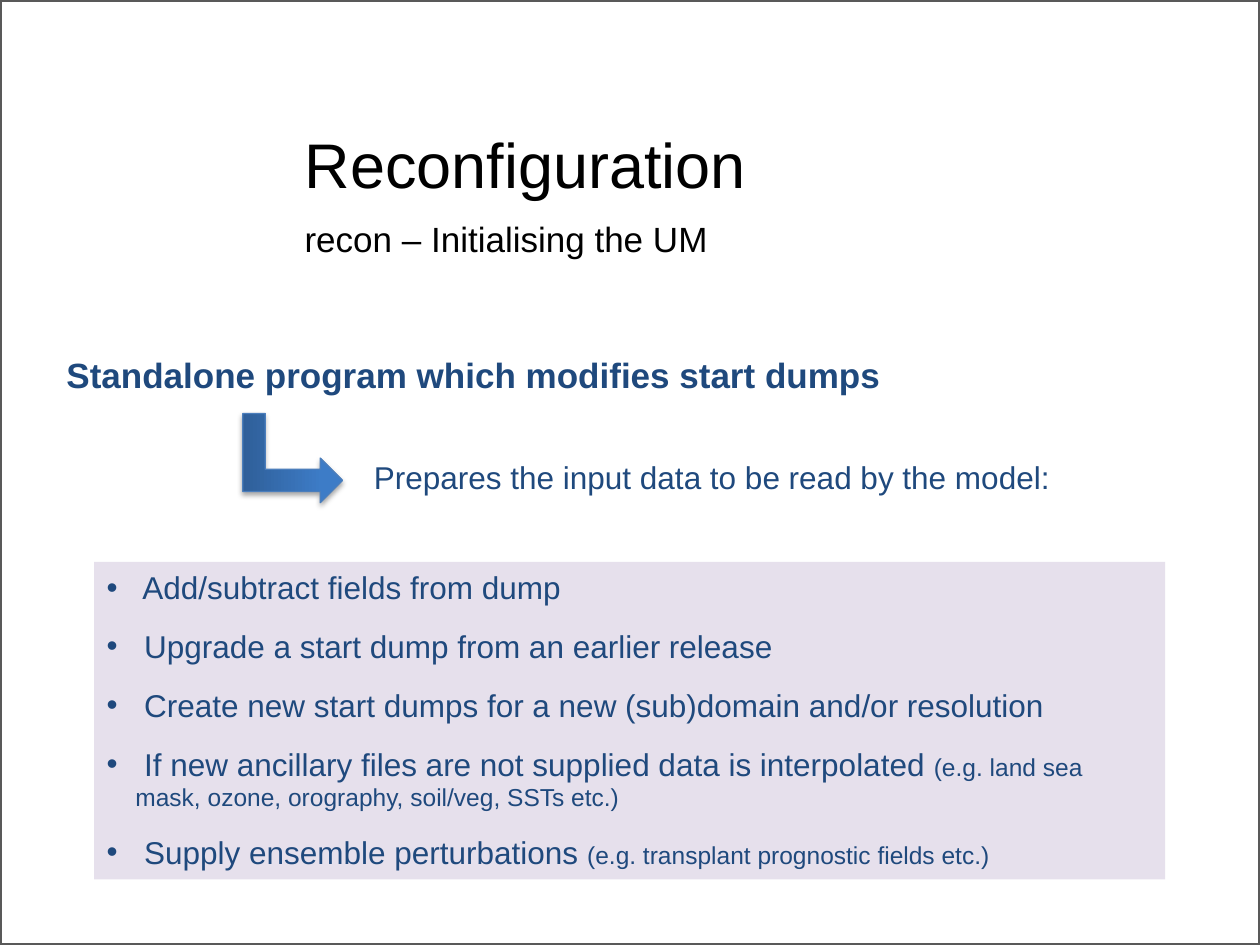
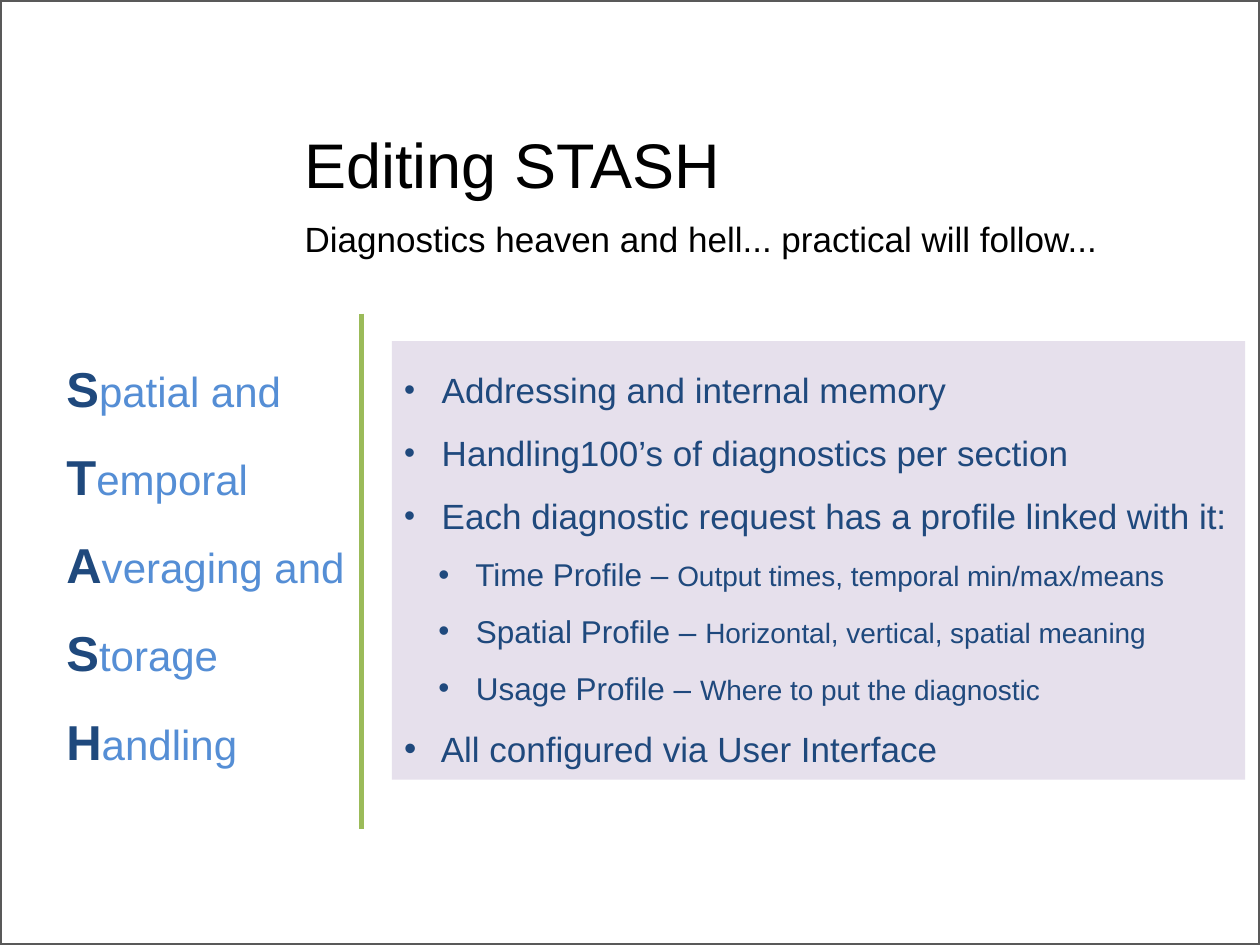
from dataclasses import dataclass

from lxml import etree
from pptx import Presentation
from pptx.dml.color import RGBColor
from pptx.enum.shapes import MSO_CONNECTOR, MSO_SHAPE
from pptx.enum.text import MSO_ANCHOR, PP_ALIGN
from pptx.oxml.ns import qn
from pptx.util import Cm, Pt

RECT, BENT_ARROW = MSO_SHAPE.RECTANGLE, MSO_SHAPE.BENT_UP_ARROW
STRAIGHT = MSO_CONNECTOR.STRAIGHT
TOP, BOTTOM, LEFT = MSO_ANCHOR.TOP, MSO_ANCHOR.BOTTOM, PP_ALIGN.LEFT

FONT = "Arial"
BLACK, NAVY, SKY = "000000", "1F497D", "558ED5"
LILAC, GREEN, GREY = "E6E0EC", "9BBB59", "595959"
ARROW_DARK, ARROW_LIGHT, ARROW_EDGE = "2F5F99", "3D7CC7", "4B7EBC"
SLIDE_W, SLIDE_H = 25.4, 19.05
HANG = 0.58  # hanging indent of a bullet, cm


@dataclass
class Run:
    text: str
    size: float
    color: str = NAVY
    bold: bool = False


@dataclass
class Para:
    runs: list[Run]
    spacing: float = 1.0
    before: float = 0
    margin: float | None = None  # text indent of a bulleted paragraph, cm


@dataclass
class Box:
    left: float
    top: float
    width: float
    height: float

    def lengths(self) -> list[int]:
        return [Cm(v) for v in (self.left, self.top, self.width, self.height)]


TITLE = Box(5.89, 1.6, 19.41, 2.59)
SUBTITLE = Box(5.89, 4.29, 19.41, 1.4)


def rgb(color: str) -> RGBColor:
    return RGBColor.from_string(color)


def add_bullet(p, margin: float) -> None:
    """Give a paragraph a round bullet with a hanging indent."""
    pPr = p._p.get_or_add_pPr()
    pPr.set("marL", str(Cm(margin)))
    pPr.set("indent", str(-Cm(HANG)))
    etree.SubElement(pPr, qn("a:buFont")).set("typeface", FONT)
    etree.SubElement(pPr, qn("a:buChar")).set("char", "•")


def write(shape, paras: list[Para], anchor=TOP) -> None:
    tf = shape.text_frame
    tf.word_wrap = True
    tf.vertical_anchor = anchor
    for i, para in enumerate(paras):
        p = tf.paragraphs[0] if i == 0 else tf.add_paragraph()
        layout = {"alignment": LEFT, "line_spacing": para.spacing,
                  "space_before": Pt(para.before)}
        for name, value in layout.items():
            setattr(p, name, value)
        if para.margin is not None:
            add_bullet(p, para.margin)
        for run in para.runs:
            r = p.add_run()
            r.text = run.text
            style = {"name": FONT, "size": Pt(run.size), "bold": run.bold}
            for name, value in style.items():
                setattr(r.font, name, value)
            r.font.color.rgb = rgb(run.color)


def add_text(s, box: Box, paras: list[Para], anchor=TOP):
    sp = s.shapes.add_textbox(*box.lengths())
    write(sp, paras, anchor)
    return sp


def add_panel(s, box: Box, paras: list[Para]) -> None:
    """Lilac panel that holds a bulleted list."""
    sp = s.shapes.add_shape(RECT, *box.lengths())
    sp.shadow.inherit = False
    sp.fill.solid()
    sp.fill.fore_color.rgb = rgb(LILAC)
    sp.line.fill.background()
    write(sp, paras)


def add_slide(prs, title: str, subtitle: str):
    """Blank slide with the shared frame, title and subtitle."""
    s = prs.slides.add_slide(prs.slide_layouts[6])
    frame = s.shapes.add_shape(RECT, *Box(0, 0, SLIDE_W, SLIDE_H).lengths())
    frame.shadow.inherit = False
    frame.fill.background()
    frame.line.color.rgb = rgb(GREY)
    frame.line.width = Pt(2.25)
    add_text(s, TITLE, [Para([Run(title, 36, BLACK)], 0.85)], BOTTOM)
    sp = add_text(s, SUBTITLE, [Para([Run(subtitle, 20, BLACK)], 0.9)])
    sp.text_frame.margin_top = Cm(0.2)
    return s


def add_bent_arrow(s, box: Box) -> None:
    sp = s.shapes.add_shape(BENT_ARROW, *box.lengths())
    sp.rotation = 90
    sp.fill.gradient()
    sp.fill.gradient_angle = 90
    stops = ((0, ARROW_DARK), (0.8, ARROW_LIGHT))
    for stop, (position, color) in zip(sp.fill.gradient_stops, stops):
        stop.position = position
        stop.color.rgb = rgb(color)
    sp.line.color.rgb = rgb(ARROW_EDGE)
    sp.line.width = Pt(0.75)
    # Soft shadow straight below
    sp.shadow.inherit = False
    effects = sp._element.spPr.find(qn("a:effectLst"))
    shadow = etree.SubElement(effects, qn("a:outerShdw"), blurRad=str(Pt(3.1)),
                              dist=str(Pt(1.8)), dir="5400000", rotWithShape="0")
    color = etree.SubElement(shadow, qn("a:srgbClr"), val=BLACK)
    etree.SubElement(color, qn("a:alpha"), val="35000")


def add_divider(s, x: float, top: float, bottom: float) -> None:
    line = s.shapes.add_connector(STRAIGHT, Cm(x), Cm(top), Cm(x), Cm(bottom))
    line.line.color.rgb = rgb(GREEN)
    line.line.width = Pt(2.75)
    etree.SubElement(line._element.spPr, qn("a:effectLst"))


def build_reconfiguration(prs) -> None:
    s = add_slide(prs, "Reconfiguration", "recon – Initialising the UM")
    headline = Run("Standalone program which modifies start dumps", 20, bold=True)
    add_text(s, Box(1.09, 7.14, 20.8, 0.99), [Para([headline], 0.85)])

    # Tasks, each with an optional remark in smaller type
    tasks = [
        (" Add/subtract fields from dump", ""),
        (" Upgrade a start dump from an earlier release", ""),
        (" Create new start dumps for a new (sub)domain and/or resolution", ""),
        (" If new ancillary files are not supplied data is interpolated ",
         "(e.g. land sea mask, ozone, orography, soil/veg, SSTs etc.)"),
        (" Supply ensemble perturbations ",
         "(e.g. transplant prognostic fields etc.)"),
    ]
    paras = [Para([Run(task, 18)] + ([Run(remark, 14)] if remark else []),
                  before=12, margin=HANG) for task, remark in tasks]
    add_panel(s, Box(1.9, 11.33, 21.59, 6.4), paras)

    add_bent_arrow(s, Box(5, 8.23, 1.8, 2.01))
    purpose = Run("Prepares the input data to be read by the model:", 18)
    add_text(s, Box(7.29, 9.22, 15.19, 0.91), [Para([purpose], 0.85)])


def build_stash(prs) -> None:
    s = add_slide(prs, "Editing STASH",
                  "Diagnostics heaven and hell... practical will follow...")

    # Acronym with emphasised initials
    words = ["Spatial and", "Temporal", "Averaging and", "Storage", "Handling"]
    acronym = [Para([Run(w[0], 28, bold=True), Run(w[1:], 24, SKY)], 1.5)
               for w in words]
    add_text(s, Box(1.09, 6.5, 6.2, 9.25), acronym)

    # Facts, then the profiles one level down
    facts = ["Addressing and internal memory",
             "Handling100’s of diagnostics per section",
             "Each diagnostic request has a profile linked with it:"]
    profiles = [("Time", "Output times, temporal min/max/means"),
                ("Spatial", "Horizontal, vertical, spatial meaning"),
                ("Usage", "Where to put the diagnostic")]
    paras = [Para([Run(" ", 18), Run(fact, 20)], 1.5, margin=HANG)
             for fact in facts]
    paras += [Para([Run(f" {name} Profile – ", 18), Run(use, 16)], 1.5, margin=1.27)
              for name, use in profiles]
    paras.append(Para([Run(" All configured via User Interface", 20)], 1.5,
                      margin=HANG))
    add_panel(s, Box(7.9, 6.88, 17.2, 8.84), paras)
    add_divider(s, 7.29, 6.32, 16.71)


def main() -> None:
    prs = Presentation()
    prs.slide_width, prs.slide_height = Cm(SLIDE_W), Cm(SLIDE_H)
    build_reconfiguration(prs)
    build_stash(prs)
    prs.save("out.pptx")


if __name__ == "__main__":
    main()
